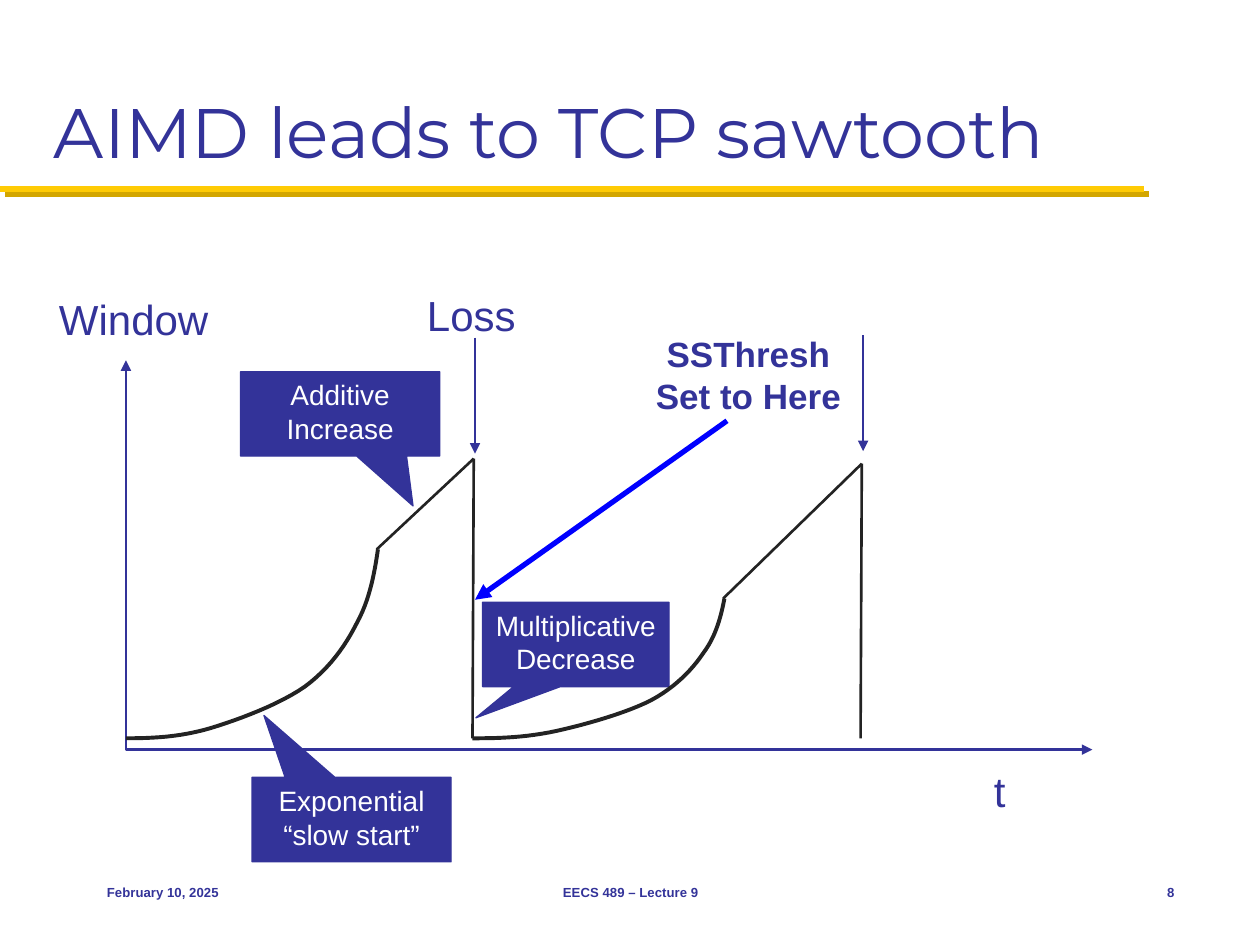
from lxml.etree import SubElement
from pptx import Presentation
from pptx.dml.color import RGBColor
from pptx.enum.shapes import MSO_CONNECTOR, MSO_SHAPE
from pptx.enum.text import MSO_ANCHOR, PP_ALIGN
from pptx.oxml.ns import qn
from pptx.util import Inches, Pt

COLORS = {"navy": "333399", "gold": "FFCB05", "shade": "D3A600",
          "ink": "232323", "blue": "0000FF", "white": "FFFFFF"}
LEFT, MID, RIGHT = PP_ALIGN.LEFT, PP_ALIGN.CENTER, PP_ALIGN.RIGHT
TOP, CENTER, BOTTOM = MSO_ANCHOR.TOP, MSO_ANCHOR.MIDDLE, MSO_ANCHOR.BOTTOM

TEXTS = [
    ("AIMD leads to TCP sawtooth", (0.33, 0.17, 9.33, 1.25), 40, "Montserrat", False, LEFT, BOTTOM),
    ("Window", (0.37, 2.28, 1.4, 0.5), 24, "Arial", False, LEFT, TOP),
    ("Loss", (3.29, 2.25, 0.91, 0.5), 24, "Arial", False, LEFT, TOP),
    ("t", (7.79, 6.03, 0.29, 0.5), 24, "Arial", False, LEFT, TOP),
    ("SSThresh\nSet to Here", (4.94, 2.59, 2, 0.77), 20, "Arial", True, MID, TOP),
    ("February 10, 2025", (0.75, 6.83, 2.08, 0.5), 7.5, "Arial", True, LEFT, CENTER),
    ("EECS 489 – Lecture 9", (3.42, 6.83, 3.17, 0.5), 7.5, "Arial", True, MID, CENTER),
    ("8", (8.75, 6.83, 0.67, 0.5), 7.5, "Arial", True, RIGHT, CENTER),
]
CALLOUTS = [
    ("Exponential\v“slow start”", (2, 6.17, 1.58, 0.67), (-0.44, -1.234)),
    ("Multiplicative Decrease", (3.83, 4.78, 1.48, 0.67), (-0.536, 0.869)),
    ("Additive Increase", (1.91, 2.95, 1.58, 0.67), (0.366, 1.091)),
]
AXES = [(1, 2.86), (1, 5.95), (8.67, 5.95)]
BASE = 5.86
TEETH = [
    {"left": 1, "rise": 1.5, "ramp": (2.99, 4.36), "peak": (3.76, 3.64), "foot": 3.75},
    {"left": 3.75, "rise": 1.11, "ramp": (5.74, 4.75), "peak": (6.84, 3.68), "foot": 6.83},
]
CURVE = [(2, 1.5), (1.97, 1.29), (1.93, 1.09), (1.83, 0.91), (1.74, 0.73),
         (1.61, 0.55), (1.42, 0.41), (1.22, 0.27), (0.9, 0.15), (0.67, 0.08),
         (0.43, 0.01), (0.22, 0), (0, 0)]
ARROWS = [
    ((3.77, 2.68), (3.77, 3.6), "navy", 0.75),
    ((6.85, 2.66), (6.85, 3.58), "navy", 0.75),
    ((5.77, 3.34), (3.77, 4.76), "blue", 3),
]


def paint(format, color):
    format.solid()
    format.fore_color.rgb = RGBColor.from_string(COLORS[color])


def stroke(shape, color, width, ends=()):
    paint(shape.line.fill, color)
    shape.line.width = Pt(width)
    for end in ends:
        SubElement(shape.line._get_or_add_ln(), qn("a:" + end), type="triangle")


def write(frame, text, size, font, color, bold, align, anchor):
    frame.word_wrap = True
    frame.vertical_anchor = anchor
    frame.text = text
    for para in frame.paragraphs:
        para.alignment = align
        para.font.size = Pt(size)
        para.font.name = font
        para.font.bold = bold
        paint(para.font.fill, color)


def add_line(shapes, start, end, color, width, ends=()):
    line = shapes.add_connector(MSO_CONNECTOR.STRAIGHT, *map(Inches, start + end))
    stroke(line, color, width, ends)
    return SubElement(line._element.spPr, qn("a:effectLst"))


def add_path(shapes, points, color, width, ends=()):
    spots = [(Inches(x), Inches(y)) for x, y in points]
    pen = shapes.build_freeform(*spots[0])
    pen.add_line_segments(spots[1:], close=False)
    shape = pen.convert_to_shape()
    shape.shadow.inherit = False
    shape.fill.background()
    stroke(shape, color, width, ends)


def add_callout(shapes, text, box, tip):
    shape = shapes.add_shape(MSO_SHAPE.RECTANGULAR_CALLOUT, *map(Inches, box))
    shape.shadow.inherit = False
    shape.adjustments[0], shape.adjustments[1] = tip
    paint(shape.fill, "navy")
    stroke(shape, "navy", 0.75)
    write(shape.text_frame, text, 16, "Arial", "white", False, MID, TOP)


def bezier(knots, steps=12):
    points = [knots[0]]
    for i in range(0, len(knots) - 1, 3):
        for t in (n / steps for n in range(1, steps + 1)):
            mix = ((1 - t) ** 3, 3 * t * (1 - t) ** 2, 3 * t * t * (1 - t), t ** 3)
            points.append(tuple(sum(m * k[axis] for m, k in zip(mix, knots[i:i + 4]))
                                for axis in (0, 1)))
    return points


def add_tooth(shapes, left, rise, ramp, peak, foot):
    scale = rise / CURVE[0][1]
    knots = [(left + x, BASE - y * scale) for x, y in CURVE]
    add_path(shapes, bezier(knots), "ink", 2.25)
    add_line(shapes, ramp, peak, "ink", 1.5)
    add_line(shapes, peak, (foot, BASE), "ink", 1.5)


def main():
    """Build the TCP sawtooth slide."""
    deck = Presentation()
    deck.slide_width, deck.slide_height = Inches(10), Inches(7.5)
    shapes = deck.slides.add_slide(deck.slide_layouts[6]).shapes

    effects = add_line(shapes, (0, 1.5), (9.08, 1.5), "gold", 3.5)
    shadow = SubElement(effects, qn("a:outerShdw"), dist=str(Pt(4.2)),
                        dir=str(45 * 60000), algn="ctr", rotWithShape="0")
    SubElement(shadow, qn("a:srgbClr"), val=COLORS["shade"])

    add_path(shapes, AXES, "navy", 1.5, ("headEnd", "tailEnd"))
    for callout in CALLOUTS:
        add_callout(shapes, *callout)
    for tooth in TEETH:
        add_tooth(shapes, **tooth)
    for arrow in ARROWS:
        add_line(shapes, *arrow, ("tailEnd",))
    for text, box, size, font, bold, align, anchor in TEXTS:
        frame = shapes.add_textbox(*map(Inches, box)).text_frame
        write(frame, text, size, font, "navy", bold, align, anchor)

    deck.save("out.pptx")


if __name__ == "__main__":
    main()
